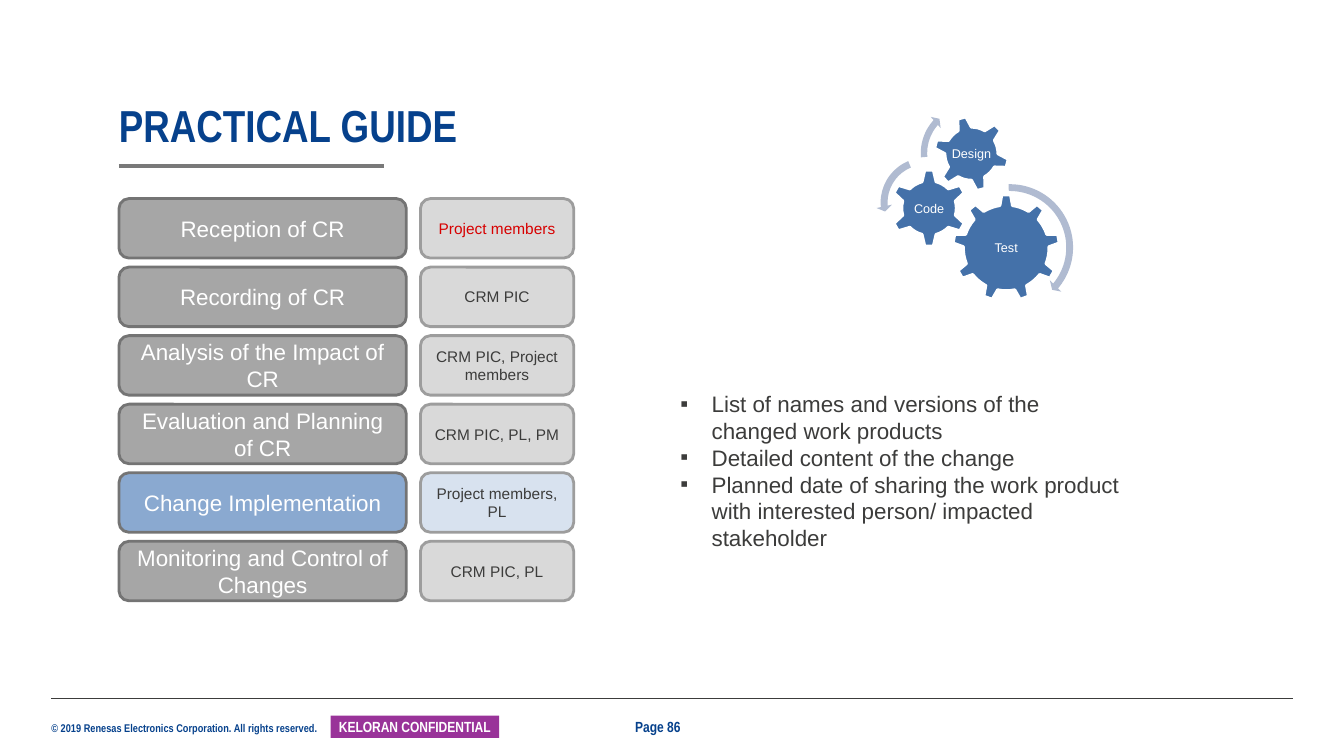
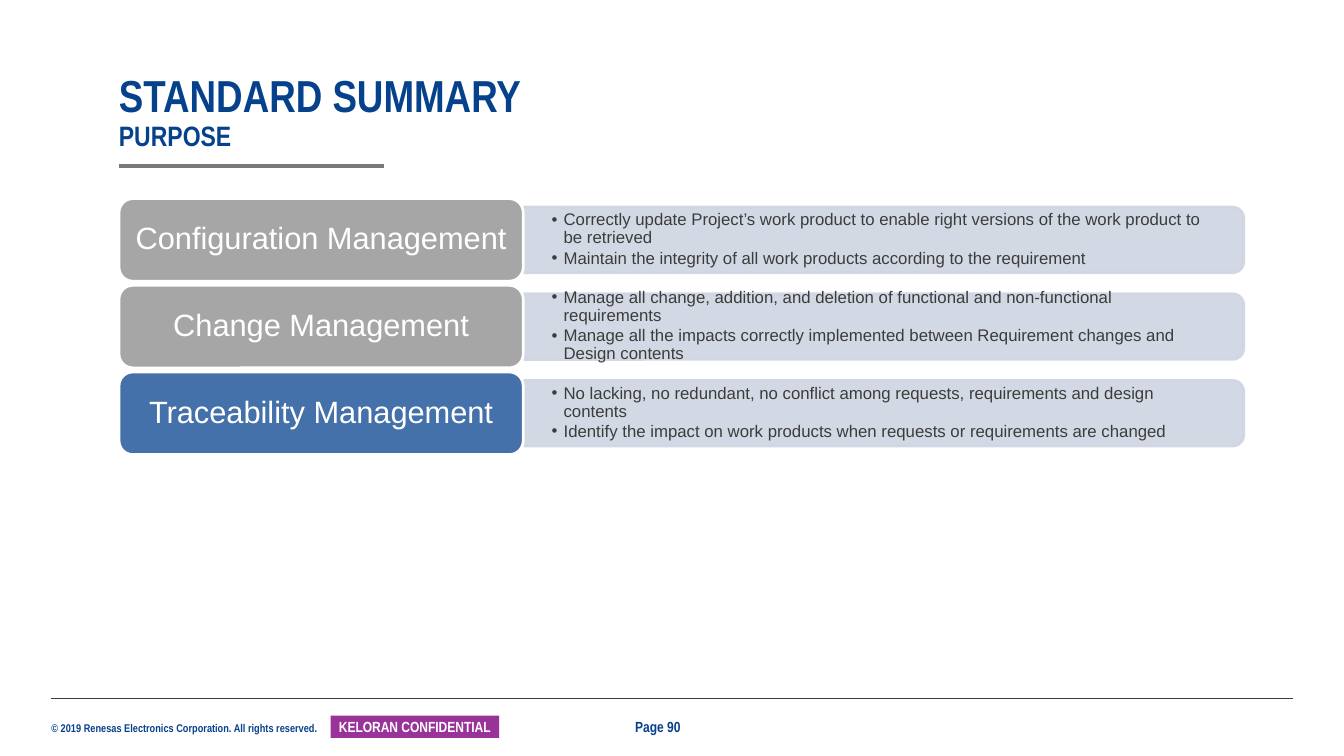
from lxml import etree
from pptx import Presentation
from pptx.dml.color import RGBColor
from pptx.enum import shapes, text
from pptx.oxml import ns
from pptx.util import Inches, Pt

NAVY = RGBColor(0x06, 0x41, 0x8C)
PURPLE = RGBColor(0x99, 0x33, 0x99)
WHITE = RGBColor(0xFF, 0xFF, 0xFF)
INK = RGBColor(0x3C, 0x3C, 0x3B)
RED = RGBColor(0xD7, 0x00, 0x00)
RULE_GRAY = RGBColor(0x79, 0x79, 0x79)
GRAY = RGBColor(0xA6, 0xA6, 0xA6)
GRAY_EDGE = RGBColor(0x74, 0x74, 0x74)
PALE_GRAY = RGBColor(0xD9, 0xD9, 0xD9)
PALE_EDGE = RGBColor(0x9D, 0x9D, 0x9D)
LIGHT_BLUE = RGBColor(0x8A, 0xA9, 0xD0)
PALE_BLUE = RGBColor(0xD8, 0xE2, 0xEF)
BLUE = RGBColor(0x44, 0x71, 0xA9)
ARROW_BLUE = RGBColor(0xB0, 0xBB, 0xD1)
BAND = RGBColor(0xCF, 0xD5, 0xE2)

MSO = shapes.MSO_SHAPE
LEFT, CENTER = text.PP_ALIGN.LEFT, text.PP_ALIGN.CENTER
TOP, MIDDLE, BOTTOM = (text.MSO_ANCHOR.TOP, text.MSO_ANCHOR.MIDDLE,
                       text.MSO_ANCHOR.BOTTOM)
NARROW = {"name": "Arial Narrow", "bold": True}
BODY = {"name": "Arial", "bold": False}


def put(s, kind, at, fill=None, line=None):
    """Add a preset shape, or a text box when kind is None."""
    at = [Inches(v) for v in at]
    if kind is None:
        return s.shapes.add_textbox(*at)
    sp = s.shapes.add_shape(kind, *at)
    sp.shadow.inherit = False
    sp.fill.solid()
    sp.fill.fore_color.rgb = fill
    if line is None:
        sp.line.fill.background()
    else:
        sp.line.color.rgb = line
        sp.line.width = Pt(2)
    return sp


def write(sp, lines, size, color, font=BODY, align=CENTER, anchor=MIDDLE,
          inset=(0.1, 0.05), bullet=None, indent=0, spacing=None):
    """Fill a shape with one paragraph per line."""
    tf = sp.text_frame
    tf.word_wrap = True
    tf.vertical_anchor = anchor
    tf.margin_left = tf.margin_right = Inches(inset[0])
    tf.margin_top = tf.margin_bottom = Inches(inset[1])
    for i, line in enumerate(lines):
        p = tf.paragraphs[0] if i == 0 else tf.add_paragraph()
        for name, value in (spacing or {}).items():
            setattr(p, name, value)
        p.alignment = align
        if bullet:
            pPr = p._p.get_or_add_pPr()
            pPr.set("marL", str(Inches(indent)))
            pPr.set("indent", str(-Inches(indent)))
            etree.SubElement(pPr, ns.qn("a:buFont")).set("typeface", "Arial")
            etree.SubElement(pPr, ns.qn("a:buChar")).set("char", bullet)
        r = p.add_run()
        r.text = line
        for name, value in {**font, "size": Pt(size)}.items():
            setattr(r.font, name, value)
        r.font.color.rgb = color
    return tf


prs = Presentation()
prs.slide_width, prs.slide_height = Inches(13.33), Inches(7.5)

# Shared frame: rules, footer, title
slides = []
for title, subtitle, page in [("PRACTICAL GUIDE", None, "Page 86"),
                              ("STANDARD SUMMARY", "PURPOSE", "Page 90")]:
    s = prs.slides.add_slide(prs.slide_layouts[6])
    slides.append(s)
    write(put(s, None, (0.51, 7.16, 2.75, 0.13)),
          ["© 2019 Renesas Electronics Corporation. All rights reserved."],
          8, NAVY, NARROW, LEFT, TOP, (0, 0))
    for x1, x2, y, color, width in [(0.51, 12.82, 6.93, INK, 0.5),
                                    (1.18, 3.81, 1.65, RULE_GRAY, 3)]:
        rule = s.shapes.add_connector(shapes.MSO_CONNECTOR.STRAIGHT, Inches(x1),
                                      Inches(y), Inches(x2), Inches(y))
        rule.line.color.rgb = color
        rule.line.width = Pt(width)
        etree.SubElement(rule._element.spPr, ns.qn("a:effectLst"))
    write(put(s, MSO.RECTANGLE, (3.28, 7.1, 1.67, 0.22), PURPLE),
          ["KELORAN CONFIDENTIAL"], 10.5, WHITE, NARROW, inset=(0.04, 0))
    write(put(s, None, (6.3, 7.12, 0.73, 0.18)), [page], 10.5, NAVY, NARROW,
          LEFT, inset=(0, 0))
    tf = write(put(s, None, (1.18, 0.71, 9.84, 0.8)), [title], 32, NAVY, NARROW,
               LEFT, BOTTOM, (0, 0), spacing={"line_spacing": 0.9})
    if subtitle:
        p = tf.paragraphs[0]
        p.add_line_break()
        r = p.add_run()
        r.text = subtitle
        for name, value in {**NARROW, "size": Pt(20)}.items():
            setattr(r.font, name, value)
        r.font.color.rgb = NAVY

# Slide 1: change request steps and who takes part
s = slides[0]
steps = [
    ("Reception of CR", "Project members"),
    ("Recording of CR", "CRM PIC"),
    ("Analysis of the Impact of CR", "CRM PIC, Project members"),
    ("Evaluation and Planning of CR", "CRM PIC, PL, PM"),
    ("Change Implementation", "Project members, PL"),
    ("Monitoring and Control of Changes", "CRM PIC, PL"),
]
for i, (step, people) in enumerate(steps):
    y = 1.97 + 0.68 * i
    current = step == "Change Implementation"
    write(put(s, MSO.ROUNDED_RECTANGLE, (1.18, y, 2.85, 0.59),
              LIGHT_BLUE if current else GRAY, GRAY_EDGE), [step], 16, WHITE)
    write(put(s, MSO.ROUNDED_RECTANGLE, (4.17, y, 1.52, 0.59),
              PALE_BLUE if current else PALE_GRAY, PALE_EDGE),
          [people], 11, RED if i == 0 else INK)

write(put(s, None, (6.65, 3.82, 4.58, 1.72)),
      ["List of names and versions of the changed work products",
       "Detailed content of the change",
       "Planned date of sharing the work product with interested person/ "
       "impacted stakeholder"],
      16, INK, align=LEFT, anchor=TOP, bullet="▪", indent=0.31)

# Gears: label, shape, left, top, size, rotation
for label, kind, x, y, size, turn in [("Test", MSO.GEAR_9, 9.45, 1.93, 1.06, 0),
                                      ("Code", MSO.GEAR_6, 8.83, 1.68, 0.77, 0),
                                      ("Design", MSO.GEAR_6, 9.26, 1.15, 0.75, 345)]:
    put(s, kind, (x, y, size, size), BLUE, WHITE).rotation = turn
    write(put(s, None, (x, y, size, size)), [label], 9, WHITE,
          inset=(0.01, 0.01))

for kind, x, y, size, adjust in [
    (MSO.CIRCULAR_ARROW, 9.34, 1.78, 1.35, (0.05, 2.99, 24, 161.39, 0.06)),
    (MSO.LEFT_CIRCULAR_ARROW, 8.69, 1.52, 0.98, (0.07, 4.3, 104.89, 148.38, 0.08)),
    (MSO.CIRCULAR_ARROW, 9.09, 0.99, 1.06, (0.06, 3.94, 133.14, 105.08, 0.07)),
]:
    arrow = put(s, kind, (x, y, size, size), ARROW_BLUE)
    for i, value in enumerate(adjust):
        arrow.adjustments[i] = value

# Slide 2: purpose of each management area
s = slides[1]
areas = [
    ("Configuration Management", GRAY,
     ["Correctly update Project’s work product to enable right versions of the "
      "work product to be retrieved",
      "Maintain the integrity of all work products according to the requirement"]),
    ("Change Management", GRAY,
     ["Manage all change, addition, and deletion of functional and "
      "non-functional requirements",
      "Manage all the impacts correctly implemented between Requirement changes "
      "and Design contents"]),
    ("Traceability Management", BLUE,
     ["No lacking, no redundant, no conflict among requests, requirements and "
      "design contents",
      "Identify the impact on work products when requests or requirements are "
      "changed"]),
]
for i, (area, color, purposes) in enumerate(areas):
    y = 1.97 + 0.86 * i
    band = put(s, MSO.ROUND_2_SAME_RECTANGLE, (8.44, y - 3.16, 0.65, 7.14),
               BAND, BAND)
    band.rotation = 90
    for clr in band._element.spPr.iter(ns.qn("a:srgbClr")):
        etree.SubElement(clr, ns.qn("a:alpha")).set("val", "90000")
    write(put(s, None, (5.2, y + 0.11, 7.11, 0.59)), purposes, 12, INK,
          align=LEFT, inset=(0.27, 0.14), bullet="•", indent=0.12,
          spacing={"line_spacing": 0.9, "space_after": Pt(1.5)})
    write(put(s, MSO.ROUNDED_RECTANGLE, (1.18, y, 4.01, 0.82), color, WHITE),
          [area], 22, WHITE, inset=(0.09, 0.05), spacing={"line_spacing": 0.9})

prs.save("out.pptx")
